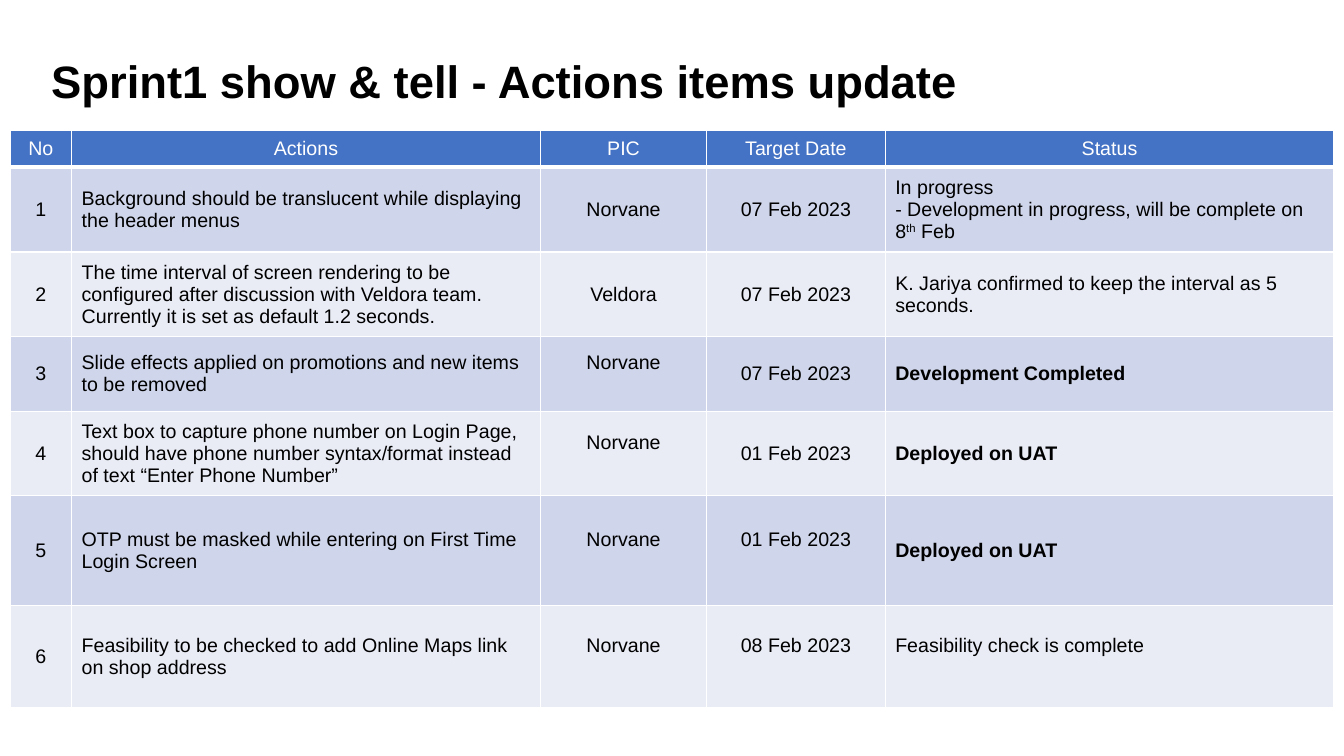
from dataclasses import dataclass

from lxml import etree
from pptx import Presentation
from pptx.dml.color import RGBColor
from pptx.enum.text import MSO_ANCHOR, PP_ALIGN
from pptx.oxml.ns import qn
from pptx.slide import Slide
from pptx.table import _Cell
from pptx.text.text import TextFrame
from pptx.util import Inches, Pt

LEFT, CENTER = PP_ALIGN.LEFT, PP_ALIGN.CENTER
MIDDLE, BOTTOM = MSO_ANCHOR.MIDDLE, MSO_ANCHOR.BOTTOM
BLACK = RGBColor(0x00, 0x00, 0x00)
WHITE = RGBColor(0xFF, 0xFF, 0xFF)
HEADER_BLUE = RGBColor(0x44, 0x72, 0xC4)
BAND_DARK = RGBColor(0xCF, 0xD5, 0xEA)
BAND_LIGHT = RGBColor(0xE9, 0xEB, 0xF5)

FONT = "Arial"
HEADERS = ("No", "Actions", "PIC", "Target Date", "Status")
ALIGNMENTS = (CENTER, LEFT, CENTER, CENTER, LEFT)
COLUMN_WIDTHS = (0.61, 4.65, 1.65, 1.77, 4.45)
HEADER_HEIGHT = 0.37
RAISED_MARGIN = 0.27
SUPERSCRIPT_MARK = "^"


@dataclass(frozen=True)
class ActionItem:
    action: str
    owner: str
    target_date: str
    status: str
    height: float
    bold_status: bool = False
    raised_columns: tuple[int, ...] = ()


ITEMS = (
    ActionItem("Background should be translucent while displaying the header menus",
               "Norvane", "07 Feb 2023",
               "In progress\n- Development in progress, will be complete on 8^th^ Feb", 0.84),
    ActionItem("The time interval of screen rendering to be configured after discussion "
               "with Veldora team. Currently it is set as default 1.2 seconds.",
               "Veldora", "07 Feb 2023",
               "K. Jariya confirmed to keep the interval as 5 seconds.", 0.84),
    ActionItem("Slide effects applied on promotions and new items to be removed",
               "Norvane", "07 Feb 2023", "Development Completed", 0.74, True, (2,)),
    ActionItem("Text box to capture phone number on Login Page, should have phone number "
               "syntax/format instead of text “Enter Phone Number”",
               "Norvane", "01 Feb 2023", "Deployed on UAT", 0.84, True, (2,)),
    ActionItem("OTP must be masked while entering on First Time Login Screen",
               "Norvane", "01 Feb 2023", "Deployed on UAT", 1.09, True, (2, 3)),
    ActionItem("Feasibility to be checked to add Online Maps link on shop address",
               "Norvane", "08 Feb 2023", "Feasibility check is complete", 1.01,
               raised_columns=(2, 3, 4)),
)


def write_text(frame: TextFrame, text: str, *, size: float = 14, color: RGBColor = BLACK,
               bold: bool = False, alignment: PP_ALIGN = LEFT,
               line_spacing: float = 1.0) -> None:
    frame.word_wrap = True
    for index, line in enumerate(text.split("\n")):
        paragraph = frame.add_paragraph() if index else frame.paragraphs[0]
        paragraph.alignment = alignment
        paragraph.line_spacing = line_spacing
        for part_index, part in enumerate(line.split(SUPERSCRIPT_MARK)):
            run = paragraph.add_run()
            run.text = part
            run.font.name = FONT
            run.font.size = Pt(size)
            run.font.bold = bold
            run.font.color.rgb = color
            if part_index % 2:
                run.font._element.set("baseline", "30000")


def add_borders(cell: _Cell, bottom_width: float) -> None:
    properties = cell._tc.get_or_add_tcPr()
    for side, width in (("L", 1), ("R", 1), ("T", 1), ("B", bottom_width)):
        line = etree.SubElement(properties, qn(f"a:ln{side}"), w=str(Pt(width)))
        fill = etree.SubElement(line, qn("a:solidFill"))
        etree.SubElement(fill, qn("a:srgbClr"), val=str(WHITE))


def format_cell(cell: _Cell, text: str, fill: RGBColor, *, color: RGBColor = BLACK,
                bold: bool = False, alignment: PP_ALIGN = CENTER,
                bottom_width: float = 1, raised: bool = False) -> None:
    add_borders(cell, bottom_width)
    cell.fill.solid()
    cell.fill.fore_color.rgb = fill
    cell.vertical_anchor = MIDDLE
    if raised:
        cell.margin_bottom = Inches(RAISED_MARGIN)
    write_text(cell.text_frame, text, color=color, bold=bold, alignment=alignment)


def add_title(slide: Slide) -> None:
    title = slide.shapes.add_textbox(Inches(0.41), Inches(0.27), Inches(10), Inches(0.85))
    title.text_frame.vertical_anchor = BOTTOM
    write_text(title.text_frame, "Sprint1 show & tell - Actions items update",
               size=32.4, bold=True, line_spacing=0.9)


def add_action_table(slide: Slide) -> None:
    heights = (HEADER_HEIGHT, *(item.height for item in ITEMS))
    table = slide.shapes.add_table(
        len(heights), len(HEADERS), Inches(0.1), Inches(1.29),
        Inches(sum(COLUMN_WIDTHS)), Inches(sum(heights))).table
    for column, width in zip(table.columns, COLUMN_WIDTHS):
        column.width = Inches(width)
    for row, height in zip(table.rows, heights):
        row.height = Inches(height)
    for column_index, header in enumerate(HEADERS):
        format_cell(table.cell(0, column_index), header, HEADER_BLUE,
                    color=WHITE, bottom_width=3)
    for number, item in enumerate(ITEMS, start=1):
        texts = (str(number), item.action, item.owner, item.target_date, item.status)
        fill = BAND_DARK if number % 2 else BAND_LIGHT
        for column_index, text in enumerate(texts):
            format_cell(table.cell(number, column_index), text, fill,
                        bold=item.bold_status and column_index == len(HEADERS) - 1,
                        alignment=ALIGNMENTS[column_index],
                        raised=column_index in item.raised_columns)


def main() -> None:
    presentation = Presentation()
    presentation.slide_width = Inches(13.33)
    presentation.slide_height = Inches(7.5)
    slide = presentation.slides.add_slide(presentation.slide_layouts[6])
    add_title(slide)
    add_action_table(slide)
    presentation.save("out.pptx")


if __name__ == "__main__":
    main()
